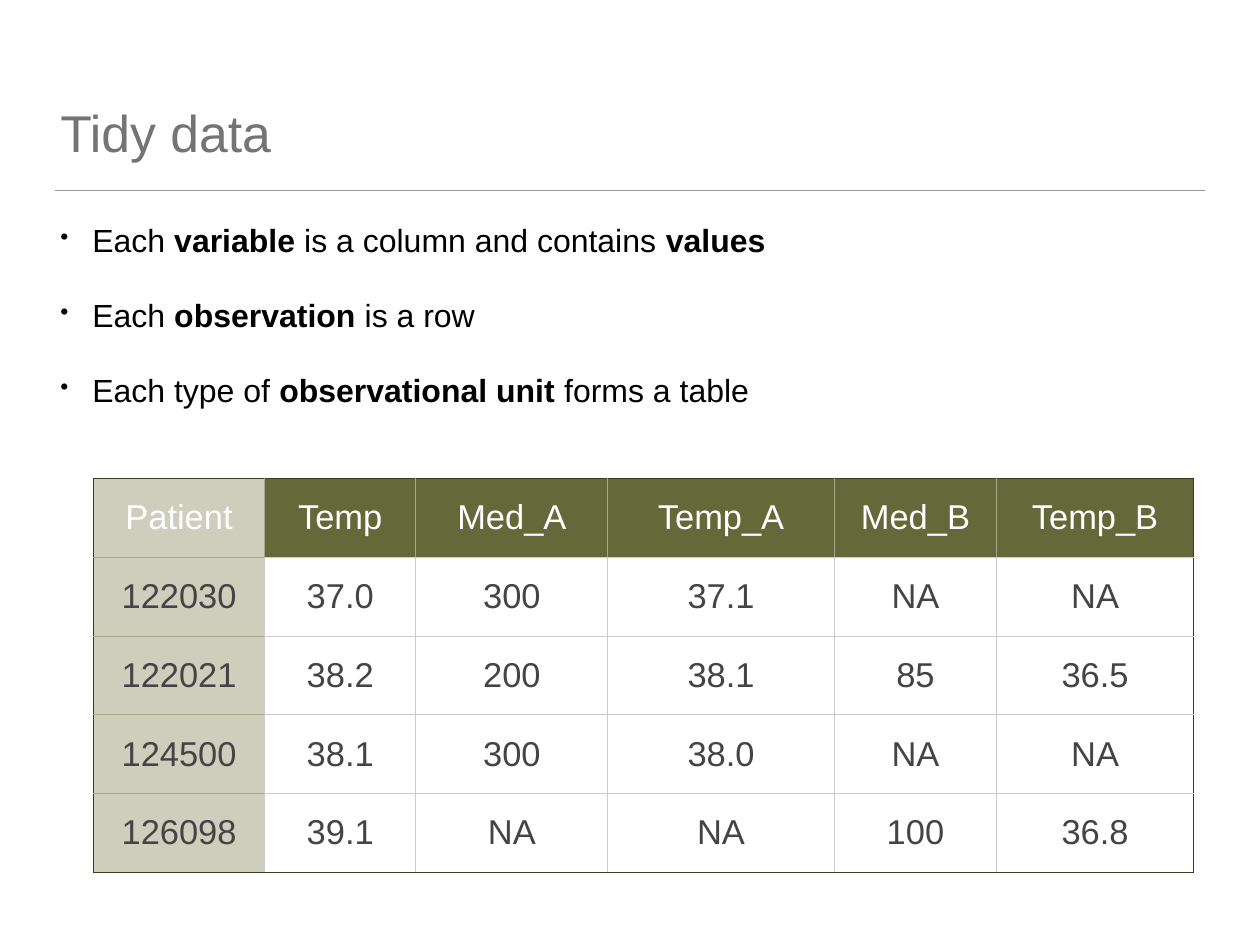
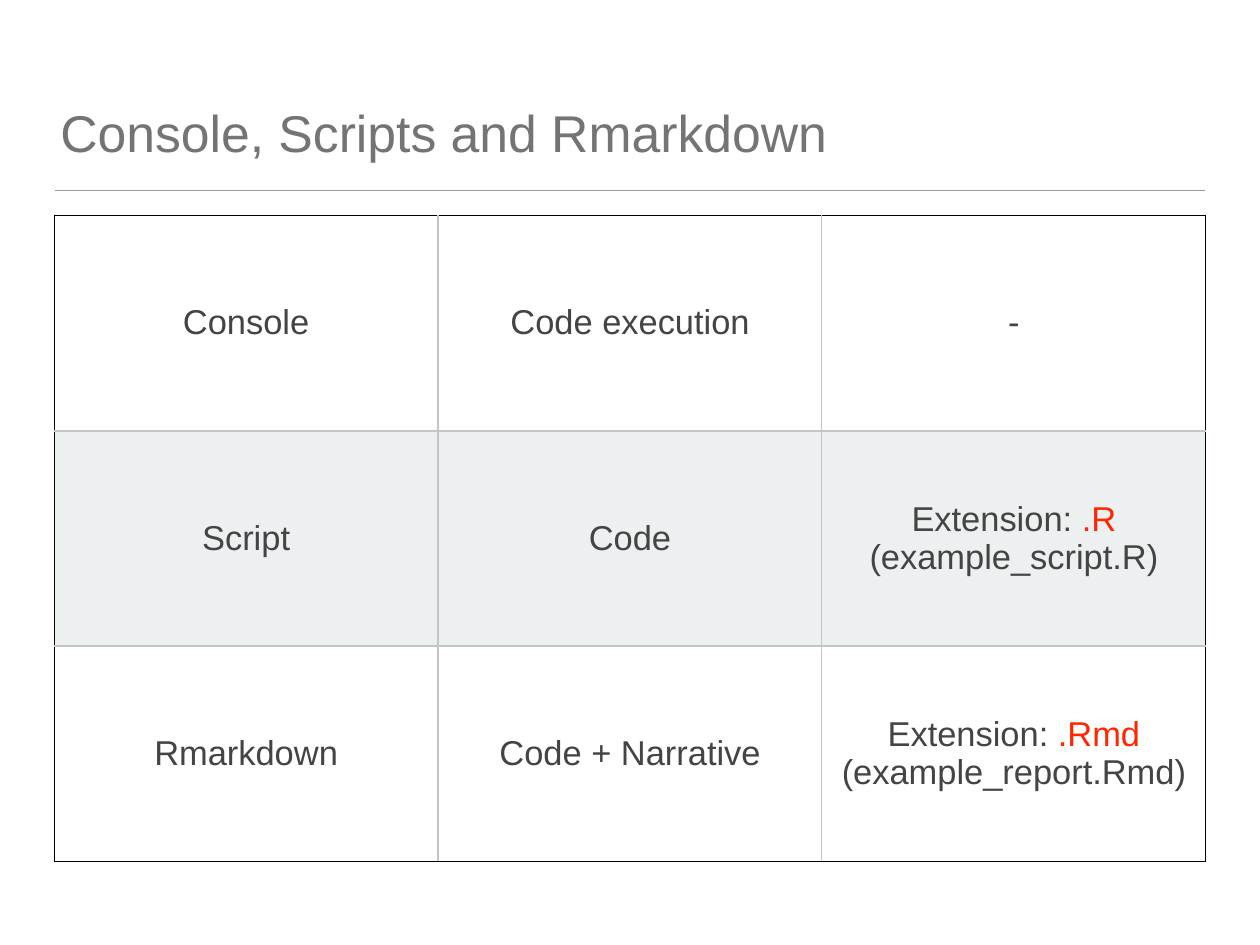
from dataclasses import dataclass

from lxml import etree
from pptx import Presentation
from pptx import util as u
from pptx.dml.color import RGBColor
from pptx.enum import shapes, text
from pptx.oxml import ns

PX = 12700


@dataclass(frozen=True)
class Theme:
    """Colours, font and type sizes shared by the slides."""
    font: str = "Arial"
    title_size: int = 42
    body_size: int = 26
    cell_size: int = 28
    title: str = "747474"
    rule: str = "9A9A9A"
    body: str = "000000"
    cell: str = "444444"
    accent: str = "FF2600"
    white: str = "FFFFFF"
    olive: str = "656839"
    olive_pale: str = "CFCDBB"
    olive_edge: str = "3C3C1D"
    olive_grid: str = "A9A484"
    grid: str = "CBCBCB"
    band: str = "EDF0F0"
    band_grid: str = "C4C6C6"


def px(n):
    """Turn px into EMU."""
    return u.Emu(n * PX)


def assign(target, values):
    """Set the attributes of target from a dict."""
    for name, value in values.items():
        setattr(target, name, value)


def child(parent, tag, **attrs):
    """Append a DrawingML element to parent."""
    return etree.SubElement(parent, ns.qn(f"a:{tag}"), attrs)


class Deck:
    """Hold the theme and the current slide, and draw its elements."""

    def __init__(self, theme):
        """Start an empty presentation."""
        self.theme = theme
        self.margins = {f"margin_{side}": px(4)
                        for side in ("left", "top", "right", "bottom")}
        self.prs = Presentation()
        assign(self.prs, {"slide_width": px(1024), "slide_height": px(768)})
        self.s = None

    def slide(self, title):
        """Add a slide with its title and rule."""
        t = self.theme
        self.s = self.prs.slides.add_slide(self.prs.slide_layouts[6])
        self.rule(45, 155, 979)
        self.textbox((45, 26, 934, 110), [[title]], t.title_size, t.title,
                     text.MSO_ANCHOR.BOTTOM)

    def rule(self, left, top, right):
        """Draw a thin horizontal line."""
        line = self.s.shapes.add_connector(
            shapes.MSO_CONNECTOR.STRAIGHT, px(left), px(top), px(right), px(top))
        line.line.color.rgb = RGBColor.from_string(self.theme.rule)
        line.line.width = u.Pt(1)
        child(line._element.spPr, "effectLst")

    def fill_text(self, tf, paragraphs, size, color, align=None):
        """Fill a text frame; a run is a string or a (string, format) pair."""
        for i, runs in enumerate(paragraphs):
            p = tf.add_paragraph() if i else tf.paragraphs[0]
            p.alignment = align
            for run in runs:
                words, fmt = (run, {}) if isinstance(run, str) else run
                r = p.add_run()
                r.text = words
                r.font.color.rgb = RGBColor.from_string(fmt.get("color", color))
                assign(r.font, {"name": self.theme.font, "size": u.Pt(size),
                                "bold": fmt.get("bold", False)})

    def textbox(self, box, paragraphs, size, color, anchor=text.MSO_ANCHOR.TOP):
        """Add a wrapped text box and return its frame."""
        tf = self.s.shapes.add_textbox(*map(px, box)).text_frame
        assign(tf, {"word_wrap": True, "vertical_anchor": anchor, **self.margins})
        self.fill_text(tf, paragraphs, size, color)
        return tf

    def bullets(self, box, paragraphs):
        """Add a bulleted list."""
        tf = self.textbox(box, paragraphs, self.theme.body_size, self.theme.body)
        for i, p in enumerate(tf.paragraphs):
            p.space_before = u.Pt(30 if i else 0)
            pPr = p._p.get_or_add_pPr()
            pPr.set("marL", str(px(26)))
            pPr.set("indent", str(px(-26)))
            child(pPr, "buSzPct", val="75000")
            child(pPr, "buChar", char="•")

    def table(self, origin, widths, height, rows, style):
        """Add a table; style maps row and column to a cell's look."""
        left, top = origin
        frame = self.s.shapes.add_table(
            len(rows), len(widths), px(left), px(top),
            px(sum(widths)), px(height * len(rows)))
        tbl = frame.table
        assign(tbl, {"first_row": False, "horz_banding": False})
        for column, width in zip(tbl.columns, widths):
            column.width = px(width)
        for i, values in enumerate(rows):
            tbl.rows[i].height = px(height)
            for j, value in enumerate(values):
                look = style(i, j)
                ends = {"L": j == 0, "R": j == len(widths) - 1,
                        "T": i == 0, "B": i == len(rows) - 1}
                edges = {side: (look["edge"], 1) if end else look[side]
                         for side, end in ends.items()}
                self.cell(tbl.cell(i, j), value, look, edges)

    def cell(self, cell, value, look, edges):
        """Set one cell's text, borders and fill."""
        assign(cell, {"vertical_anchor": text.MSO_ANCHOR.MIDDLE, **self.margins})
        paragraphs = [[value]] if isinstance(value, str) else value
        self.fill_text(cell.text_frame, paragraphs, self.theme.cell_size,
                       look["text"], text.PP_ALIGN.CENTER)
        tcPr = cell._tc.get_or_add_tcPr()
        for side, (color, width) in edges.items():
            ln = child(tcPr, f"ln{side}", w=str(px(width)))
            child(child(ln, "solidFill"), "srgbClr", val=color)
        if look["fill"]:
            cell.fill.solid()
            cell.fill.fore_color.rgb = RGBColor.from_string(look["fill"])
        else:
            cell.fill.background()


def patient_style(t):
    """Style a table with an olive header and a pale first column."""
    def style(i, j):
        header, first = i == 0, j == 0
        upright = t.olive_grid if header or first else t.grid
        level = t.olive_grid if first and not header else t.grid
        fill = t.olive_pale if first else t.olive if header else None
        return {"text": t.white if header else t.cell, "fill": fill,
                "edge": t.olive_edge, "L": (upright, 1), "R": (upright, 1),
                "T": (level, 1), "B": (level, 1)}
    return style


def banded_style(t):
    """Style a table with every second row shaded."""
    def style(i, j):
        return {"text": t.cell, "fill": t.band if i % 2 else None,
                "edge": t.body, "L": (t.band_grid, 1), "R": (t.band_grid, 1),
                "T": (t.band_grid, 2), "B": (t.band_grid, 2)}
    return style


def main():
    """Build and save the slides."""
    t = Theme()
    deck = Deck(t)
    bold = {"bold": True}
    accent = {"color": t.accent}

    deck.slide("Tidy data")
    deck.bullets((45, 175, 934, 525), [
        ["Each ", ("variable", bold), " is a column and contains ", ("values", bold)],
        ["Each ", ("observation", bold), " is a row"],
        ["Each type of ", ("observational unit", bold), " forms a table"],
    ])
    deck.table((76, 389), [139, 123, 156, 184, 132, 160], 64, [
        ["Patient", "Temp", "Med_A", "Temp_A", "Med_B", "Temp_B"],
        ["122030", "37.0", "300", "37.1", "NA", "NA"],
        ["122021", "38.2", "200", "38.1", "85", "36.5"],
        ["124500", "38.1", "300", "38.0", "NA", "NA"],
        ["126098", "39.1", "NA", "NA", "100", "36.8"],
    ], patient_style(t))

    deck.slide("Console, Scripts and Rmarkdown")
    deck.table((44, 175), [312] * 3, 175, [
        ["Console", "Code execution", "-"],
        ["Script", "Code",
         [["Extension: ", (".R", accent)], ["(example_script.R)"]]],
        ["Rmarkdown", "Code + Narrative",
         [["Extension: ", (".Rmd", accent)], ["(example_report.Rmd)"]]],
    ], banded_style(t))

    deck.prs.save("out.pptx")


if __name__ == "__main__":
    main()
